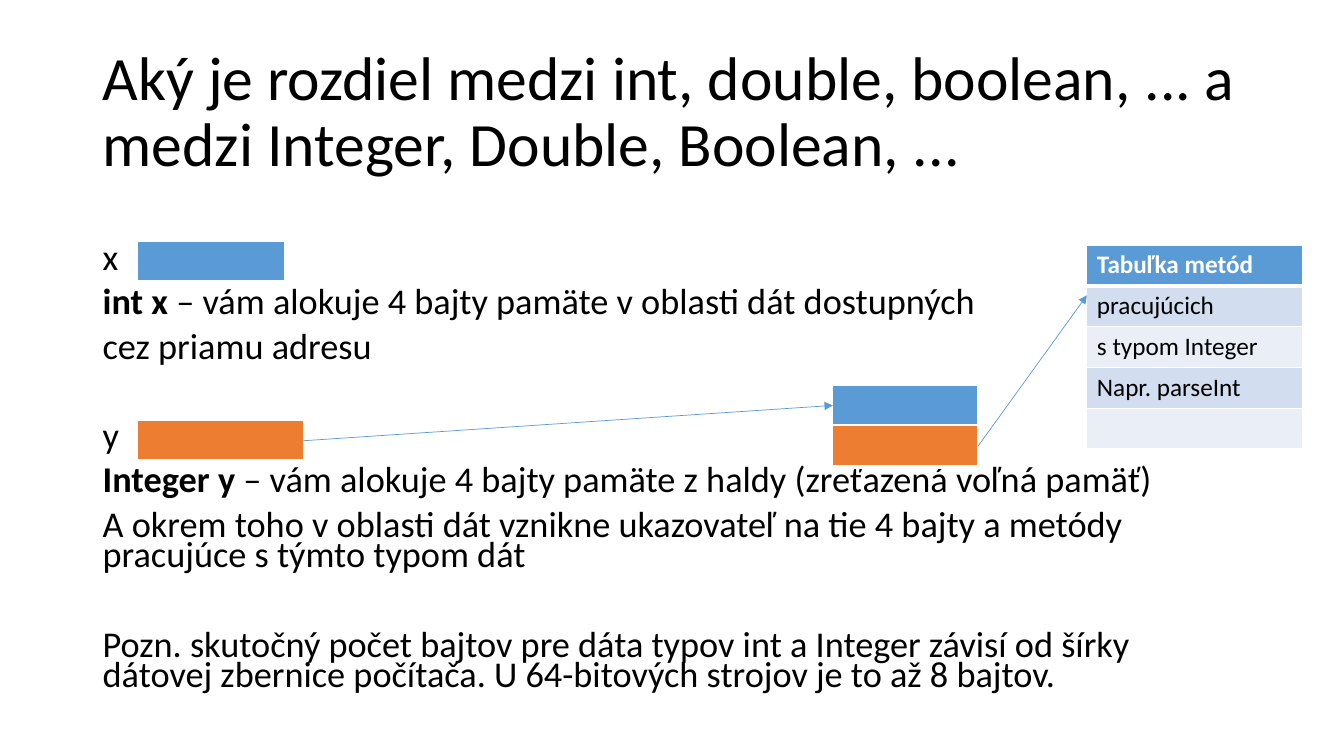
from lxml.etree import SubElement
from pptx import Presentation
from pptx.dml.color import RGBColor
from pptx.enum.shapes import MSO_CONNECTOR
from pptx.enum.text import MSO_ANCHOR
from pptx.oxml import parse_xml
from pptx.oxml.ns import nsdecls, qn
from pptx.util import Inches, Pt

BLUE, ORANGE, WHITE, BLACK = "5B9BD5", "ED7D31", "FFFFFF", "000000"
BAND_DARK, BAND_LIGHT = "D2DEEF", "EAEFF7"


def color(hex_string):
    return RGBColor.from_string(hex_string)


class SlideBuilder:
    """Draws on one slide; lengths are percentages of its width and height."""

    font_name = "Calibri"

    def __init__(self, presentation):
        self.width = presentation.slide_width
        self.height = presentation.slide_height
        self.slide = presentation.slides.add_slide(presentation.slide_layouts[6])

    def x(self, share):
        return round(self.width * share / 100)

    def y(self, share):
        return round(self.height * share / 100)

    def area(self, left, top, width, height):
        return self.x(left), self.y(top), self.x(width), self.y(height)

    def add_run(self, paragraph, text, size, hex_color=BLACK, bold=False):
        run = paragraph.add_run()
        run.text = text
        run.font.name = self.font_name
        run.font.size = Pt(size)
        run.font.bold = bold
        run.font.color.rgb = color(hex_color)

    def text(self, area, paragraphs, size, line_spacing, anchor=MSO_ANCHOR.TOP):
        """Each paragraph is (space before, [(text, bold), ...])."""
        frame = self.slide.shapes.add_textbox(*self.area(*area)).text_frame
        frame.word_wrap = True
        frame.vertical_anchor = anchor
        for index, (space_before, runs) in enumerate(paragraphs):
            paragraph = frame.add_paragraph() if index else frame.paragraphs[0]
            paragraph.line_spacing = line_spacing
            paragraph.space_before = Pt(space_before)
            for text, bold in runs:
                self.add_run(paragraph, text, size, bold=bold)

    def border(self, cell, top, bottom):
        """Gives the cell white edges, 1 pt wide at the sides."""
        properties = cell._tc.get_or_add_tcPr()
        edges = (("L", 1), ("R", 1), ("T", top), ("B", bottom))
        for index, (side, points) in enumerate(edges):
            line = parse_xml(f'<a:ln{side} {nsdecls("a")} w="{Pt(points)}"><a:solidFill>'
                             f'<a:srgbClr val="{WHITE}"/></a:solidFill></a:ln{side}>')
            properties.insert(index, line)

    def table(self, left, top, width, row_height, rows):
        """Each row is (text, fill); the first one is the header."""
        area = self.area(left, top, width, row_height * len(rows))
        table = self.slide.shapes.add_table(len(rows), 1, *area).table
        for index, (text, fill) in enumerate(rows):
            cell = table.cell(index, 0)
            cell.fill.solid()
            cell.fill.fore_color.rgb = color(fill)
            self.border(cell, 3 if index == 1 else 1, 1 if index else 3)
            if text:
                self.add_run(cell.text_frame.paragraphs[0], text, 18,
                             BLACK if index else WHITE, bold=index == 0)

    def arrow(self, start, end):
        connector = self.slide.shapes.add_connector(
            MSO_CONNECTOR.STRAIGHT, self.x(start[0]), self.y(start[1]),
            self.x(end[0]), self.y(end[1]))
        connector.line.color.rgb = color(BLUE)
        connector.line.width = Pt(0.5)
        SubElement(connector.line._get_or_add_ln(), qn("a:tailEnd"), type="triangle")
        SubElement(connector._element.spPr, qn("a:effectLst"))


def main():
    presentation = Presentation()
    presentation.slide_width = Inches(13.33)
    presentation.slide_height = Inches(7.5)
    builder = SlideBuilder(presentation)

    margin, text_width = 6.9, 86.25
    builder.text((margin, 5.33, text_width, 19.33), [
        (0, [("Aký je rozdiel medzi int, double, boolean, ... a "
              "medzi Integer, Double, Boolean, ...", False)]),
    ], 44, 0.9, MSO_ANCHOR.MIDDLE)

    near, section = 10, 42
    builder.text((margin, 31.87, text_width, 65.73), [
        (0, [("x", False)]),
        (near, [("int x", True),
                (" – vám alokuje 4 bajty pamäte v oblasti dát dostupných", False)]),
        (near, [("cez priamu adresu", False)]),
        (section, [("y", False)]),
        (near, [("Integer y", True),
                (" – vám alokuje 4 bajty pamäte z haldy (zreťazená voľná pamäť)", False)]),
        (near, [("A okrem toho v oblasti dát vznikne ukazovateľ na tie 4 bajty "
                 "a metódy pracujúce s týmto typom dát", False)]),
        (section, [("Pozn. skutočný počet bajtov pre dáta typov int a Integer závisí "
                    "od šírky dátovej zbernice počítača. U 64-bitových strojov je to "
                    "až 8 bajtov.", False)]),
    ], 25.9, 0.7)

    row = 5.4
    variable_left, y_top, y_width = 10.2, 55.6, 12.38
    heap_left, heap_top, heap_width = 61.97, 50.93, 10.8
    methods_left = 80.87
    builder.table(heap_left, heap_top, heap_width, row, [("", BLUE)])
    builder.table(variable_left, 31.87, 10.95, row, [("", BLUE)])
    builder.table(variable_left, y_top, y_width, row, [("", ORANGE)])
    builder.arrow((variable_left + y_width, y_top + row / 2),
                  (heap_left, heap_top + row / 2))
    builder.table(heap_left, heap_top + row, heap_width, row, [("", ORANGE)])
    builder.table(methods_left, 32.4, 16.05, row, [
        ("Tabuľka metód", BLUE),
        ("pracujúcich", BAND_DARK),
        ("s typom Integer", BAND_LIGHT),
        ("Napr. parseInt", BAND_DARK),
        ("", BAND_LIGHT),
    ])
    builder.arrow((heap_left + heap_width, heap_top + 1.5 * row), (methods_left, 39.07))

    presentation.save("out.pptx")


if __name__ == "__main__":
    main()
